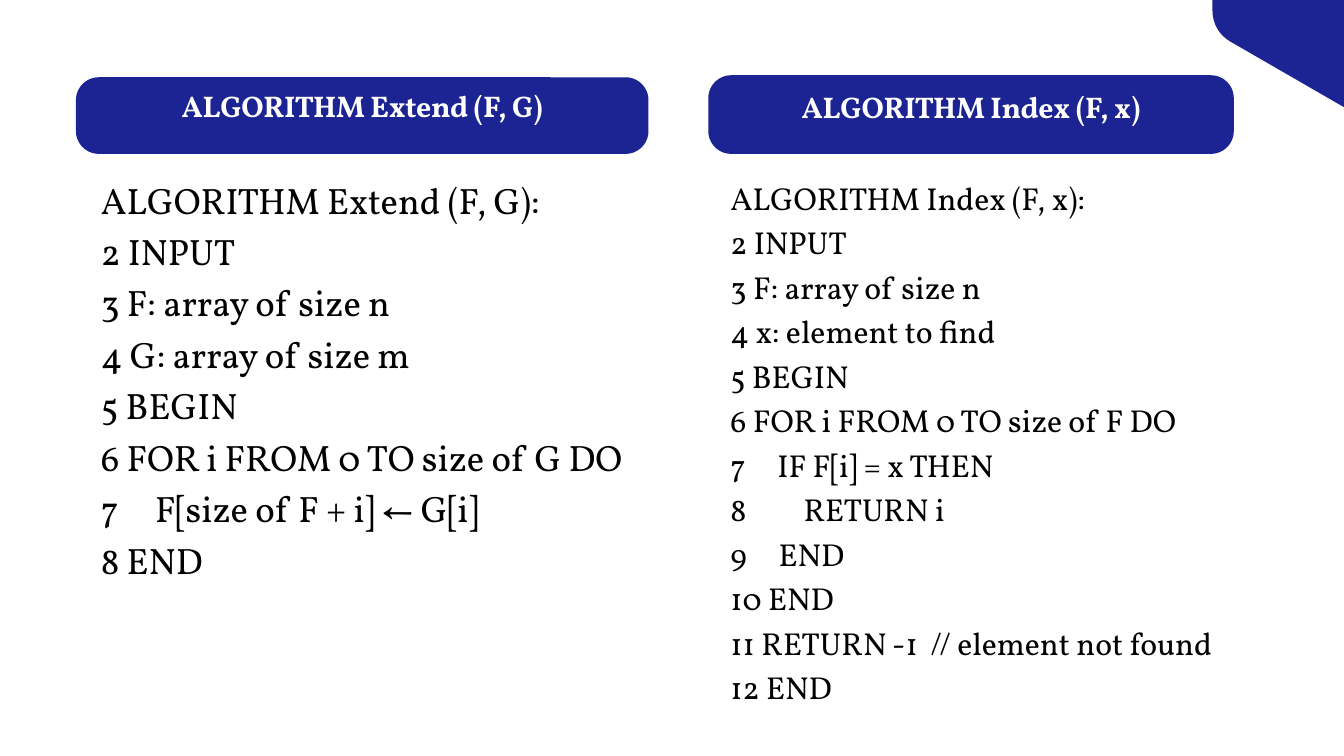
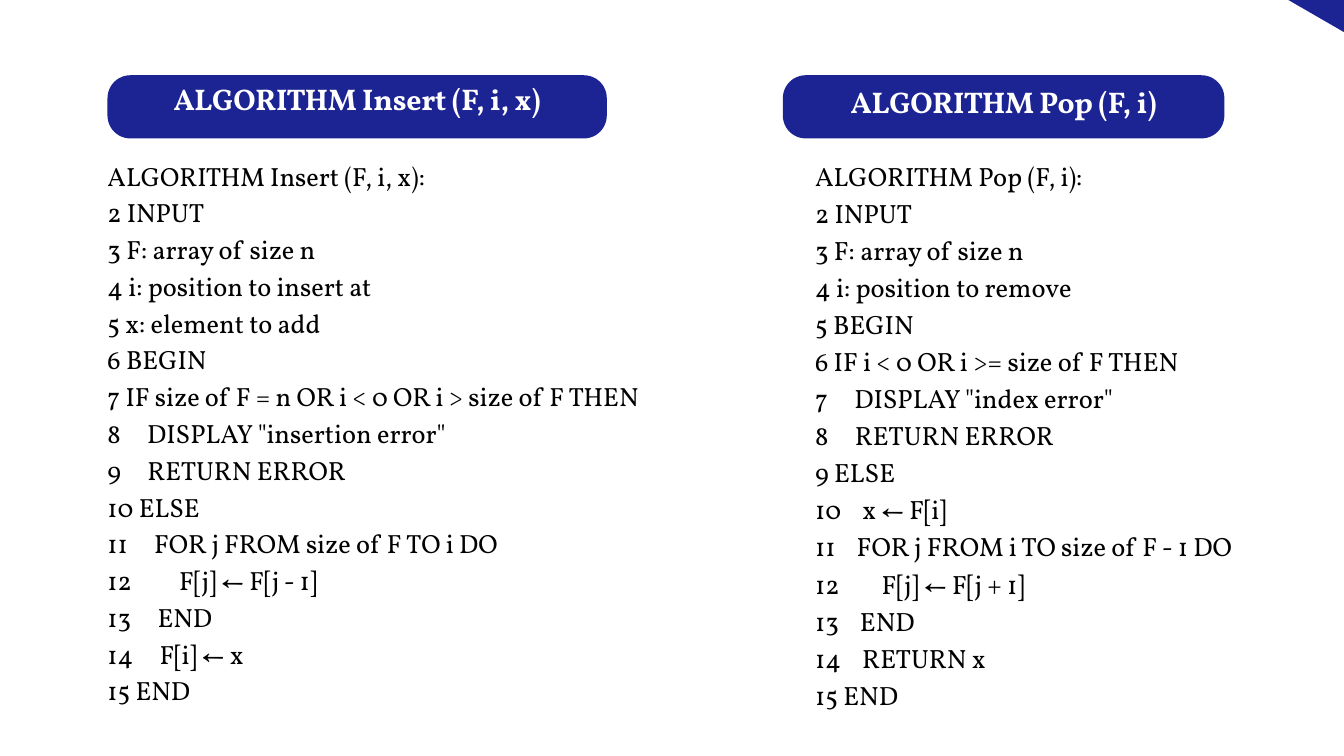
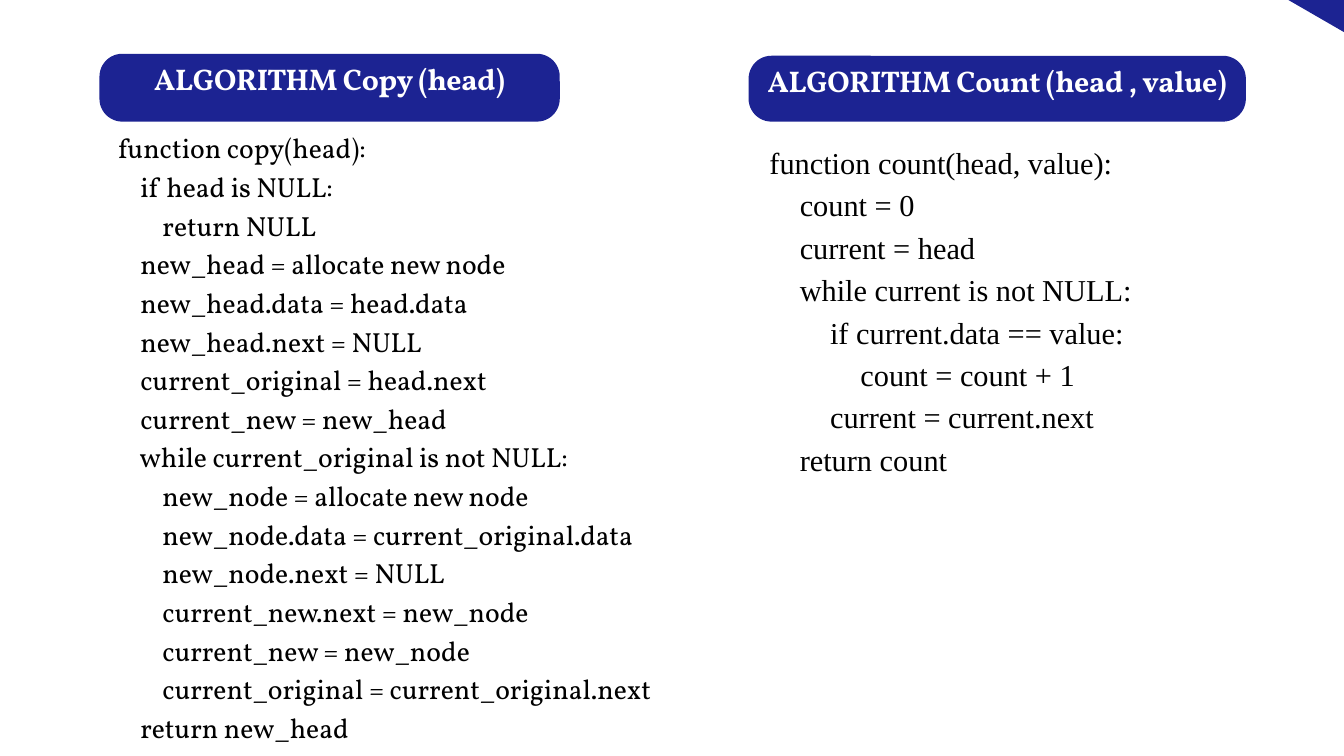
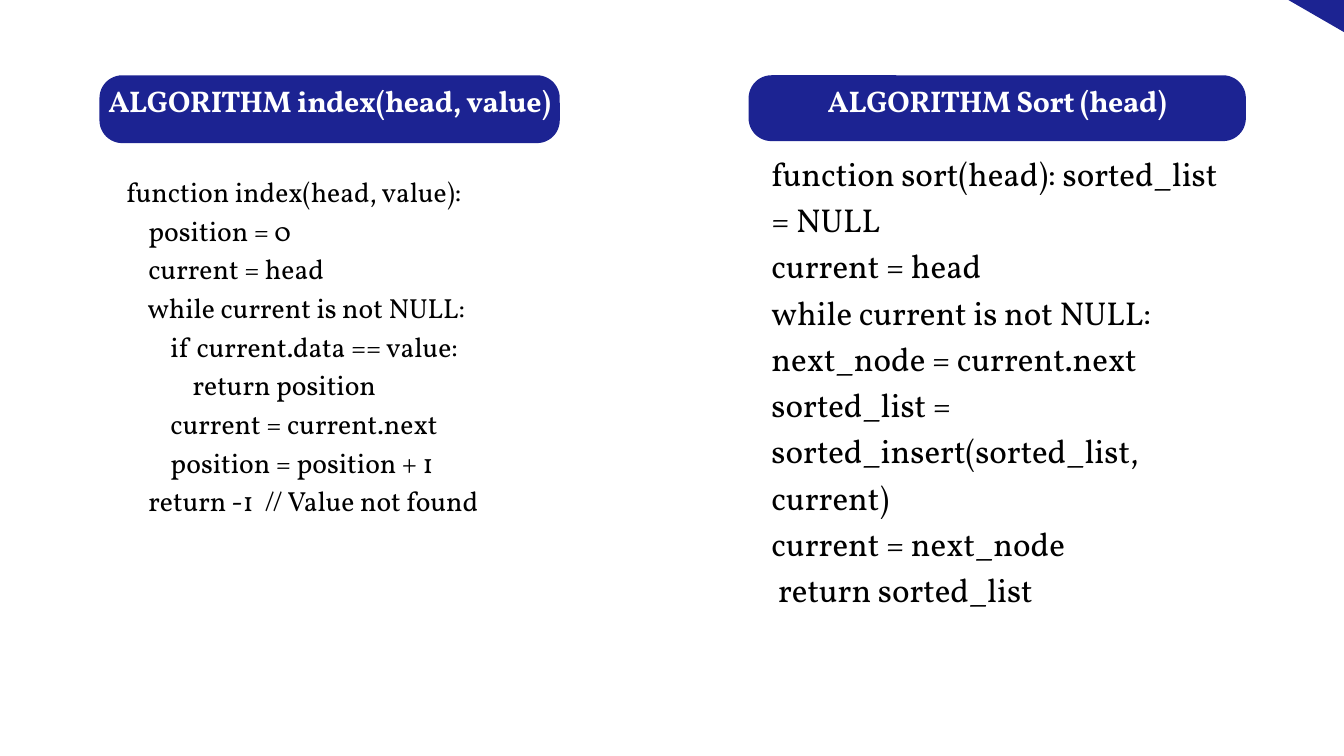
from math import cos, sin, radians
from pptx import Presentation
from pptx.dml.color import RGBColor
from pptx.enum.shapes import MSO_SHAPE as SHAPE
from pptx.enum.text import MSO_ANCHOR as ANCHOR, MSO_AUTO_SIZE as FIT, PP_ALIGN as ALIGN
from pptx.util import Inches, Pt

NAVY = RGBColor(0x1C, 0x23, 0x92)
WHITE = RGBColor(0xFF, 0xFF, 0xFF)
BLACK = RGBColor(0x00, 0x00, 0x00)
SERIF = "Vollkorn"
BANNER_RADIUS = 0.34
HEX_RADIUS = 6.07
HEX_CUT = 0.05  # share of each hexagon side taken by a rounded corner
HEX_CENTRES = [(23.3, -2.57)] + [(21.58, -4.68)] * 3

# Each column: title, banner box, rise of the title box above the banner,
# code box, code style, code
EXTEND = dict(
    title="ALGORITHM Extend (F, G)", banner=(1.13, 1.15, 8.52, 1.14), rise=0.39,
    box=(1.5, 2.53, 8.28, 7.59), size=39.3, leading=55.1, code="""\
ALGORITHM Extend (F, G):
2 INPUT
3 F: array of size n
4 G: array of size m
5 BEGIN
6 FOR i FROM 0 TO size of G DO
7     F[size of F + i] ← G[i]
8 END""")

ARRAY_INDEX = dict(
    title="ALGORITHM Index (F, x)", banner=(10.54, 1.12, 7.82, 1.17), rise=0.33,
    box=(10.87, 2.56, 8, 8.53), size=34, leading=47.7, code="""\
ALGORITHM Index (F, x):
2 INPUT
3 F: array of size n
4 x: element to find
5 BEGIN
6 FOR i FROM 0 TO size of F DO
7     IF F[i] = x THEN
8         RETURN i
9     END
10 END
11 RETURN -1  // element not found
12 END""")

INSERT = dict(
    title="ALGORITHM Insert (F, i, x)", banner=(1.6, 1.12, 7.43, 0.94), rise=0.32,
    box=(1.6, 2.3, 8.4, 8.7), size=28.2, leading=39.4, code="""\
ALGORITHM Insert (F, i, x):
2 INPUT
3 F: array of size n
4 i: position to insert at
5 x: element to add
6 BEGIN
7 IF size of F = n OR i < 0 OR i > size of F THEN
8     DISPLAY "insertion error"
9     RETURN ERROR
10 ELSE
11     FOR j FROM size of F TO i DO
12         F[j] ← F[j - 1]
13     END
14     F[i] ← x
15 END""")

POP = dict(
    title="ALGORITHM Pop (F, i)", banner=(11.65, 1.12, 6.57, 0.94), rise=0.24,
    box=(12.13, 2.3, 6.63, 9.3), size=28.3, leading=39.7, code="""\
ALGORITHM Pop (F, i):
2 INPUT
3 F: array of size n
4 i: position to remove
5 BEGIN
6 IF i < 0 OR i >= size of F THEN
7     DISPLAY "index error"
8     RETURN ERROR
9 ELSE
10    x ← F[i]
11    FOR j FROM i TO size of F - 1 DO
12        F[j] ← F[j + 1]
13    END
14    RETURN x
15 END""")

COPY = dict(
    title="ALGORITHM Copy (head)", banner=(1.48, 0.8, 6.85, 1.01), rise=0.35,
    box=(1.76, 1.87, 8.67, 9.7), size=29.6, leading=41.4, code="""\
function copy(head):
    if head is NULL:
        return NULL
    new_head = allocate new node
    new_head.data = head.data
    new_head.next = NULL
    current_original = head.next
    current_new = new_head
    while current_original is not NULL:
        new_node = allocate new node
        new_node.data = current_original.data
        new_node.next = NULL
        current_new.next = new_node
        current_new = new_node
        current_original = current_original.next
    return new_head""")

COUNT = dict(
    title="ALGORITHM Count (head , value)", banner=(11.14, 0.83, 7.4, 0.98), rise=0.34,
    box=(11.45, 2.05, 6.78, 5.69), size=32.5, leading=45.5, font="Times New Roman", code="""\
function count(head, value):
    count = 0
    current = head
    while current is not NULL:
        if current.data == value:
            count = count + 1
        current = current.next
    return count""")

LIST_INDEX = dict(
    title="ALGORITHM index(head, value)", banner=(1.48, 1.12, 6.85, 1.01), rise=0.34,
    box=(1.88, 2.52, 6.06, 5.7), size=29.6, leading=41.4, code="""\
function index(head, value):
    position = 0
    current = head
    while current is not NULL:
        if current.data == value:
            return position
        current = current.next
        position = position + 1
    return -1  // Value not found""")

SORT = dict(
    title="ALGORITHM Sort (head)", banner=(11.14, 1.12, 7.4, 0.98), rise=0.33,
    box=(11.48, 2.18, 6.71, 6.83), size=35.4, leading=49.6, code="""\
function sort(head): sorted_list = NULL
current = head
while current is not NULL: next_node = current.next sorted_list = sorted_insert(sorted_list, current)
current = next_node
 return sorted_list""")

PAGES = [(EXTEND, ARRAY_INDEX), (INSERT, POP), (COPY, COUNT), (LIST_INDEX, SORT)]


def add_text(slide, box, lines, inset, leading, align, **font):
    """Add a text box with one paragraph per line and return it."""
    text_box = slide.shapes.add_textbox(*map(Inches, box))
    frame = text_box.text_frame
    frame.word_wrap = True
    for side in ("left", "top", "right", "bottom"):
        setattr(frame, f"margin_{side}", Inches(inset))
    for number, line in enumerate(lines):
        paragraph = frame.paragraphs[0] if number == 0 else frame.add_paragraph()
        paragraph.alignment = align
        paragraph.line_spacing = Pt(leading)
        run = paragraph.add_run()
        run.text = line
        run.font.color.rgb = font["color"]
        for key in ("name", "size", "bold"):
            setattr(run.font, key, font[key])
    return text_box


def rounded_hexagon(cx, cy):
    """Points of a pointy-topped hexagon whose corners are Bezier curves."""
    corners = [(cx + HEX_RADIUS * sin(radians(a)), cy - HEX_RADIUS * cos(radians(a)))
               for a in range(0, 360, 60)]
    points = []
    for i, (x, y) in enumerate(corners):
        (px, py), (nx, ny) = corners[i - 1], corners[(i + 1) % 6]
        # start, two handles and end of the curve, as shares of the sides
        curve = [(x + (ex - x) * share, y + (ey - y) * share)
                 for ex, ey, share in ((px, py, HEX_CUT), (px, py, HEX_CUT * 0.38),
                                       (nx, ny, HEX_CUT * 0.38), (nx, ny, HEX_CUT))]
        for step in range(9):
            t = step / 8
            weights = ((1 - t) ** 3, 3 * t * (1 - t) ** 2, 3 * t * t * (1 - t), t ** 3)
            points.append(tuple(Inches(sum(w * p[axis] for w, p in zip(weights, curve)))
                                for axis in (0, 1)))
    return points


prs = Presentation()
prs.slide_width, prs.slide_height = Inches(20), Inches(11.25)

for centre, columns in zip(HEX_CENTRES, PAGES):
    slide = prs.slides.add_slide(prs.slide_layouts[6])

    # Corner hexagon
    points = rounded_hexagon(*centre)
    outline = slide.shapes.build_freeform(*points[0])
    outline.add_line_segments(points[1:], close=True)
    navy_shapes = [outline.convert_to_shape()]

    for column in columns:
        # Banner with its title
        left, top, width, height = column["banner"]
        banner = slide.shapes.add_shape(SHAPE.ROUNDED_RECTANGLE, *map(Inches, column["banner"]))
        banner.adjustments[0] = BANNER_RADIUS / height
        navy_shapes.append(banner)
        rise = column["rise"]
        title = add_text(slide, (left, top - rise, width, height + rise), [column["title"]],
                         0.06, 44.8, ALIGN.CENTER,
                         name=SERIF, size=Pt(32), bold=True, color=WHITE)
        title.text_frame.vertical_anchor = ANCHOR.MIDDLE
        title.text_frame.paragraphs[0].runs[0]._r.get_or_add_rPr().set("spc", "-30")

        # Pseudocode
        code = add_text(slide, column["box"], column["code"].split("\n"),
                        0, column["leading"], ALIGN.LEFT, name=column.get("font", SERIF),
                        size=Pt(column["size"]), bold=False, color=BLACK)
        code.text_frame.auto_size = FIT.SHAPE_TO_FIT_TEXT

    for shape in navy_shapes:
        shape.shadow.inherit = False
        shape.fill.solid()
        shape.fill.fore_color.rgb = NAVY
        shape.line.fill.background()

prs.save("out.pptx")
